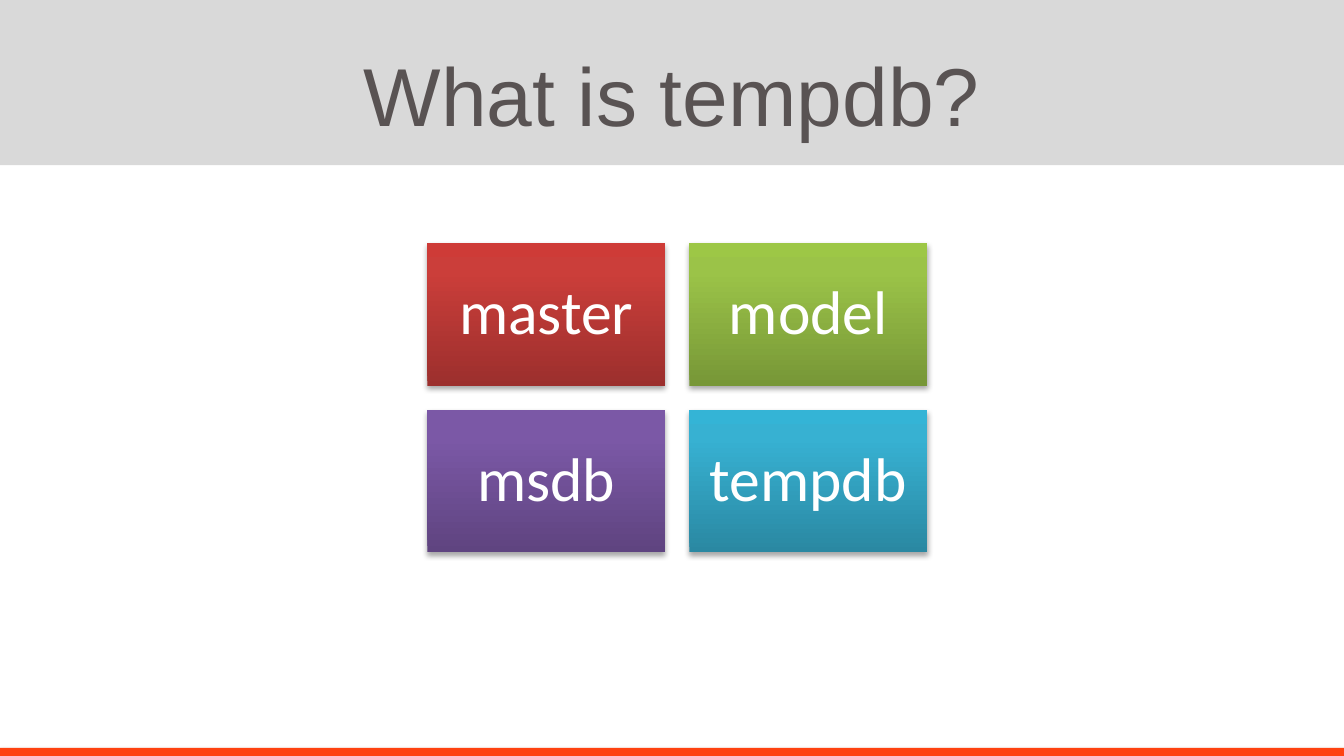
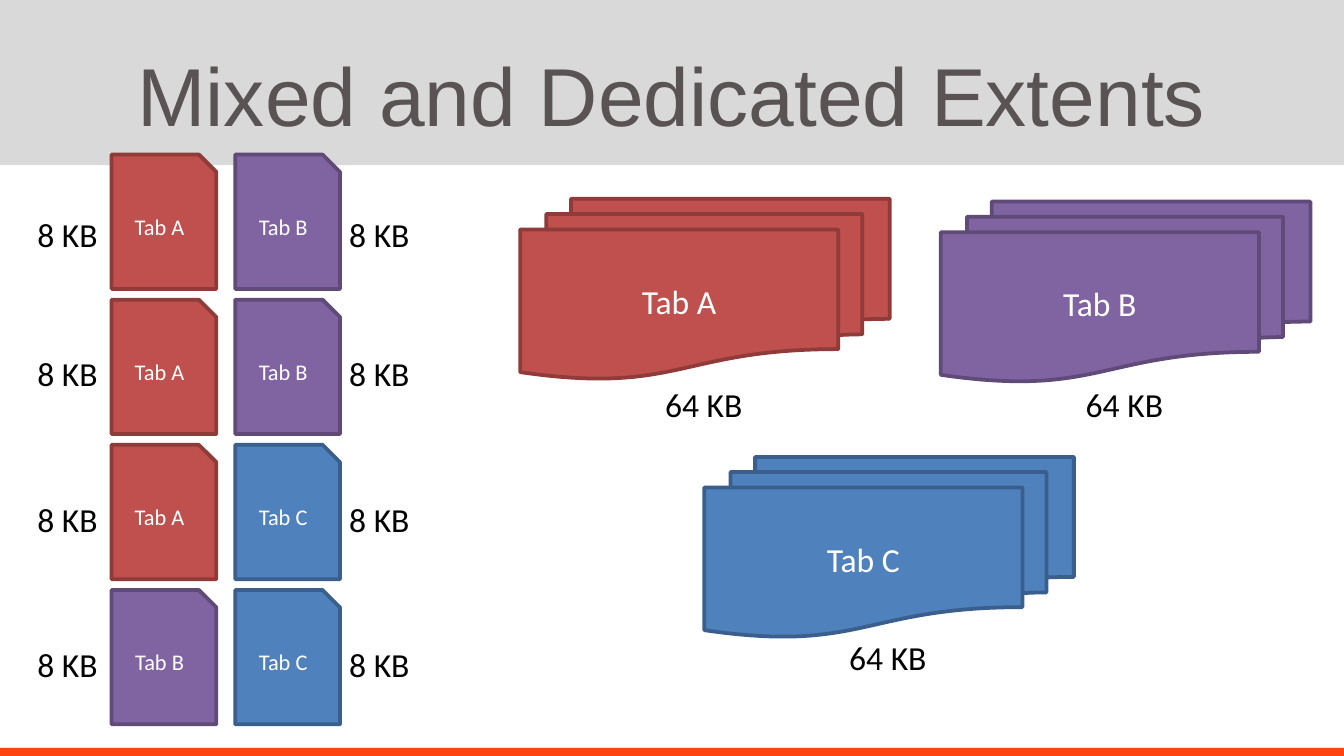
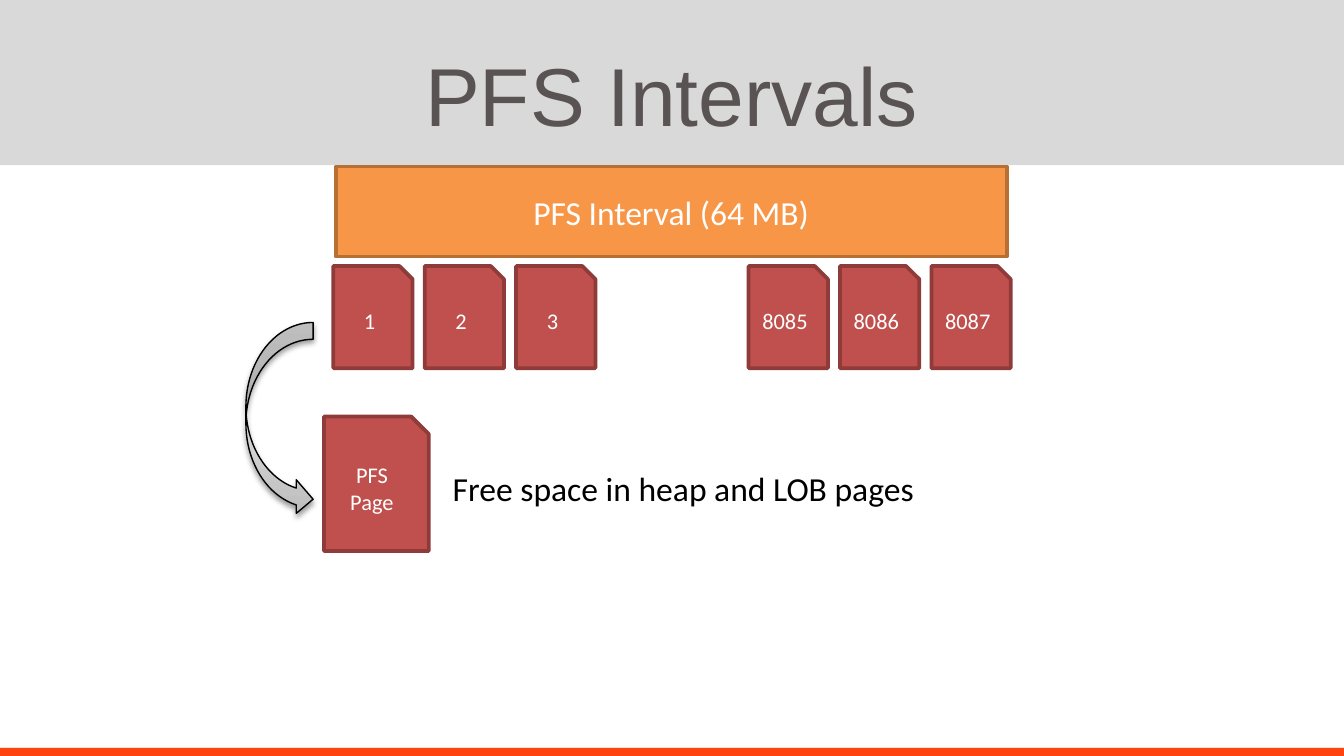
import pptx
import pptx.dml.color
import pptx.enum.shapes
import pptx.enum.text
import pptx.oxml
import pptx.util
from pptx.util import Inches

KIND = pptx.enum.shapes.MSO_SHAPE
ALIGN = pptx.enum.text.PP_ALIGN
RGB = pptx.dml.color.RGBColor.from_string
NS = 'xmlns:a="http://schemas.openxmlformats.org/drawingml/2006/main"'


class Theme:
    head, body = "Arial", "Calibri"
    title, tile, text, small = 44, 33, 18, 12
    ink, black, white = "595353", "000000", "FFFFFF"
    band, foot = "D9D9D9", "FE4210"
    # Fill and outline of the flat shapes
    red = ("C0504D", "8E3B39")
    violet = ("8064A2", "5F4A78")
    blue = ("4F81BD", "3A5F8C")
    orange = ("F79646", "B76F34")
    # Stops of the shaded shapes, from bottom to top
    tiles = {
        "master": ((0, "9C2F2D"), (80, "CB3E3A"), (100, "CE3B37")),
        "model": ((0, "779737"), (80, "9BC348"), (100, "9DC746")),
        "msdb": ((0, "5F4480"), (80, "7B58A6"), (100, "7C57A8")),
        "tempdb": ((0, "2A88A2"), (80, "37B1D2"), (100, "34B4D6")),
    }
    arrow = ((0, "BDBDBD"), (35, "D1D1D1"), (100, "EEEEEE"))


def write(shape, text, size=Theme.text, color=Theme.white, font=Theme.body,
          align=ALIGN.CENTER, wrap=True, space=None):
    frame = shape.text_frame
    frame.text = text
    frame.word_wrap = wrap
    for para in frame.paragraphs:
        para.alignment = align
        para.line_spacing = space
        para.font.size = pptx.util.Pt(size)
        para.font.name = font
        para.font.color.rgb = RGB(color)
    return frame


def draw(slide, kind, box, fill, line=None, width=2, shade=None):
    shape = slide.shapes.add_shape(kind, *map(Inches, box))
    if isinstance(fill, str):
        shape.fill.solid()
        shape.fill.fore_color.rgb = RGB(fill)
    else:
        shape.fill.gradient()
        shape.fill.gradient_angle = 90
        stops = shape.element.spPr.find(".//{*}gsLst")
        stops.clear()
        for pos, color in fill:
            stops.append(pptx.oxml.parse_xml(
                f'<a:gs {NS} pos="{pos * 1000}"><a:srgbClr val="{color}"/></a:gs>'))
    if line:
        shape.line.color.rgb = RGB(line)
        shape.line.width = pptx.util.Pt(width)
    else:
        shape.line.fill.background()
    shape.shadow.inherit = False
    if shade:
        shape.element.spPr.find("{*}effectLst").append(pptx.oxml.parse_xml(
            f'<a:outerShdw {NS} blurRad="39370" dist="22860" dir="5400000" rotWithShape="0">'
            f'<a:srgbClr val="{Theme.black}"><a:alpha val="{shade * 1000}"/></a:srgbClr>'
            '</a:outerShdw>'))
    return shape


# Wide screen, 16 by 9
deck = pptx.Presentation()
deck.slide_width = Inches(10)
deck.slide_height = deck.slide_width * 9 // 16

# Slides and titles
layout = deck.slide_layouts[5]
slides = []
for name in ("What is tempdb?", "Mixed and Dedicated Extents", "PFS Intervals"):
    slide = deck.slides.add_slide(layout)
    title = slide.shapes.title
    title.left, title.top, title.width, title.height = map(Inches, (0.5, 0.23, 9, 0.94))
    frame = write(title, name, size=Theme.title, color=Theme.ink, font=Theme.head)
    frame.vertical_anchor = pptx.enum.text.MSO_ANCHOR.MIDDLE
    slides.append(slide)
bases, extents, pages = slides

# Shared bands, moved to the layout behind its title
base = deck.slide_height.inches - 0.06
foot = draw(bases, KIND.RECTANGLE, (0, base, 10, 0.06), Theme.foot, shade=35)
band = draw(bases, KIND.RECTANGLE, (0, 0, 10, 1.23), Theme.band)
for spot, bar in enumerate((foot, band), 2):
    layout.shapes.element.insert(spot, bar.element)

# Slide 1: two by two tiles
for n, (name, stops) in enumerate(Theme.tiles.items()):
    row, col = divmod(n, 2)
    box = (3.18 + 1.95 * col, 1.81 + 1.24 * row, 1.77, 1.06)
    tile = draw(bases, KIND.RECTANGLE, box, stops, shade=35)
    frame = write(tile, name, size=Theme.tile, space=0.9)
    frame.margin_left = frame.margin_right = Inches(0.13)

# Slide 2: columns of single pages
tones = {"A": Theme.red, "B": Theme.violet, "C": Theme.blue}
notes = []
for left, edge, tabs in ((0.83, 0.18, "AAAB"), (1.75, 2.5, "BBCC")):
    for row, tab in enumerate(tabs):
        page = draw(extents, KIND.SNIP_1_RECTANGLE,
                    (left, 1.15 + 1.08 * row, 0.78, 1), *tones[tab])
        write(page, f"Tab {tab}", size=Theme.small)
    for top in (1.54, 2.58, 3.66, 4.74):
        notes.append((extents, "8 KB", (edge, top, 0.66, 0.4)))

# Slide 2: stacks of pages
for tab, left, top, under in (("A", 3.87, 1.48, 2.81), ("C", 5.24, 3.4, 4.69),
                              ("B", 7, 1.5, 2.81)):
    stack = draw(extents, KIND.FLOWCHART_MULTIDOCUMENT, (left, top, 2.75, 1.34), *tones[tab])
    write(stack, f"Tab {tab}")
    notes.append((extents, "64 KB", (left + 0.98, under, 0.78, 0.4)))

# Slide 3: bar with its first and last pages
bar = draw(pages, KIND.RECTANGLE, (2.5, 1.24, 4.99, 0.67), *Theme.orange)
write(bar, "PFS Interval (64 MB)")
for left, first in ((2.48, 1), (5.57, 8085)):
    for n in range(3):
        page = draw(pages, KIND.SNIP_1_RECTANGLE,
                    (left + 0.68 * n, 1.98, 0.59, 0.76), *Theme.red)
        write(page, str(first + n), size=Theme.small)

# Slide 3: PFS page and arrow
page = draw(pages, KIND.SNIP_1_RECTANGLE, (2.41, 3.1, 0.78, 1), *Theme.red)
write(page, "PFS\nPage", size=Theme.small)
notes.append((pages, "Free space in heap and LOB pages", (3.27, 3.43, 3.68, 0.4)))
draw(pages, KIND.CURVED_RIGHT_ARROW, (1.83, 2.4, 0.5, 1.44), Theme.arrow,
     line=Theme.black, width=0.75, shade=38)

# Plain labels
for slide, text, box in notes:
    label = slide.shapes.add_textbox(*map(Inches, box))
    frame = write(label, text, color=Theme.black, align=ALIGN.LEFT, wrap=False)
    frame.auto_size = pptx.enum.text.MSO_AUTO_SIZE.SHAPE_TO_FIT_TEXT

deck.save("out.pptx")
